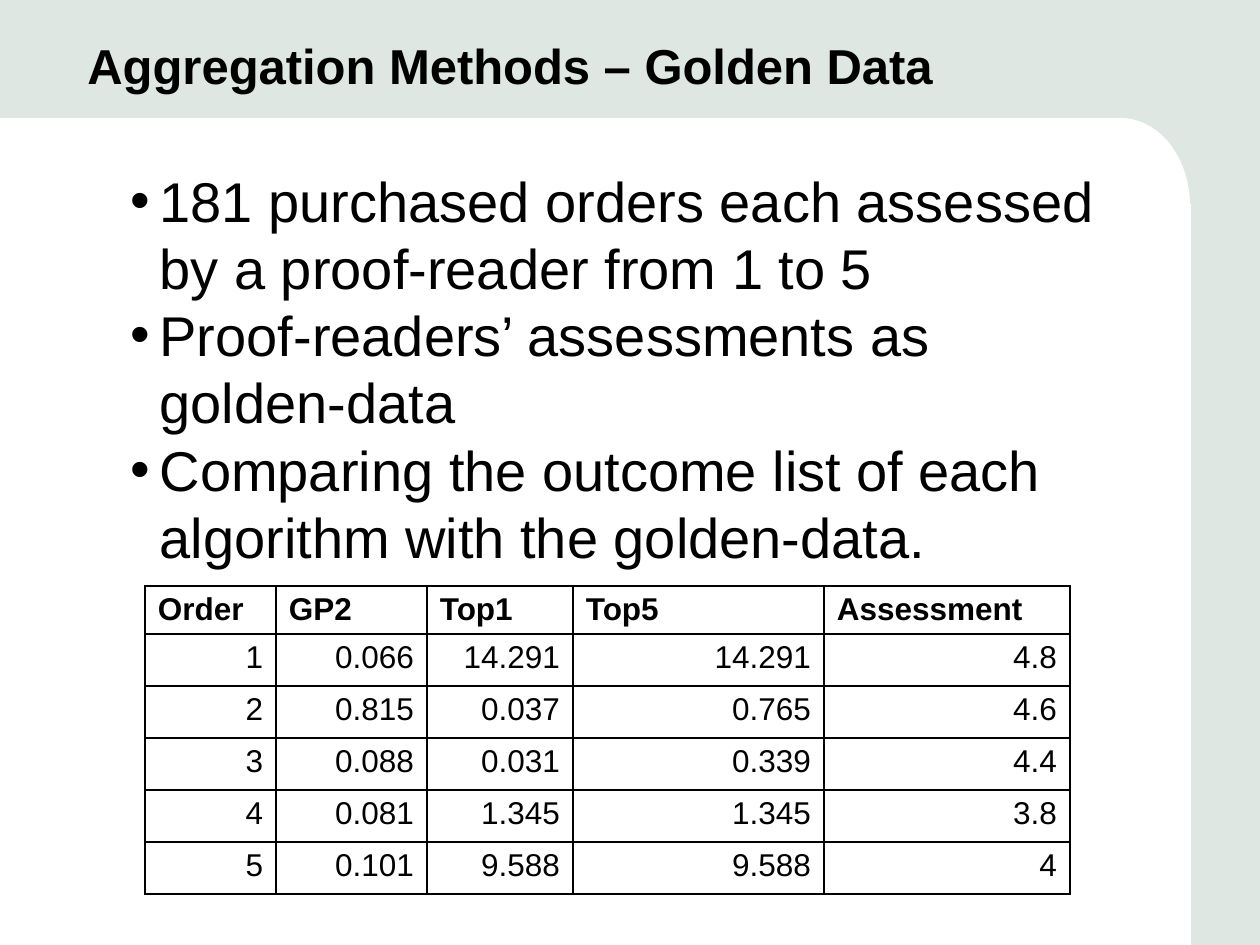
import pptx
import pptx.util
import pptx.dml.color
import pptx.enum.shapes
import pptx.enum.text
import pptx.oxml

SCALE = 914400 / 126
FONT = "Arial"
COLORS = {"back": "DEE7E2", "panel": "FFFFFF", "ink": "000000"}
ALIGN = pptx.enum.text.PP_ALIGN
ANCHOR = pptx.enum.text.MSO_ANCHOR
KIND = pptx.enum.shapes.MSO_SHAPE

TITLE = " Aggregation Methods – Golden Data"
POINTS = [
    "181 purchased orders each assessed by a proof-reader from 1 to 5",
    "Proof-readers’ assessments as golden-data",
    "Comparing the outcome list of each algorithm with the golden-data.",
]
ROWS = [
    ["Order", "GP2", "Top1", "Top5", "Assessment"],
    ["1", "0.066", "14.291", "14.291", "4.8"],
    ["2", "0.815", "0.037", "0.765", "4.6"],
    ["3", "0.088", "0.031", "0.339", "4.4"],
    ["4", "0.081", "1.345", "1.345", "3.8"],
    ["5", "0.101", "9.588", "9.588", "4"],
]
WIDTHS = [131, 151, 146, 251, 246]
HEAD, ROW = 48, 52


def px(n):
    return pptx.util.Emu(round(n * SCALE))


def color(name):
    return pptx.dml.color.RGBColor.from_string(COLORS[name])


def node(xml):
    space = 'xmlns:a="http://schemas.openxmlformats.org/drawingml/2006/main"'
    return pptx.oxml.parse_xml(xml.replace(" ", f" {space} ", 1))


def write(para, text, size, bold=False, align=ALIGN.LEFT, lead=None):
    para.alignment = align
    para.space_before = pptx.util.Pt(0)
    if lead:
        para.line_spacing = pptx.util.Pt(lead)
    run = para.add_run()
    run.text = text
    font = run.font
    font.name, font.size, font.bold = FONT, pptx.util.Pt(size), bold
    font.color.rgb = color("ink")


def place(holder, x, y, w, h, anchor):
    holder.left, holder.top, holder.width, holder.height = map(px, (x, y, w, h))
    frame = holder.text_frame
    frame.word_wrap = True
    frame.auto_size = pptx.enum.text.MSO_AUTO_SIZE.NONE
    frame.vertical_anchor = anchor
    return frame


def panel(slide, kind, x, y, w, h):
    shape = slide.shapes.add_shape(kind, *map(px, (x, y, w, h)))
    shape.shadow.inherit = False
    shape.fill.solid()
    shape.fill.fore_color.rgb = color("panel")
    shape.line.fill.background()
    return shape


def bullet(para, indent):
    props = para._p.get_or_add_pPr()
    props.set("marL", str(px(indent)))
    props.set("indent", str(-px(indent)))
    props.append(node('<a:buFont typeface="Arial"/>'))
    props.append(node('<a:buChar char="•"/>'))


def border(cell, width=1):
    props = cell._tc.get_or_add_tcPr()
    for side in "LRTB":
        props.append(node(
            f'<a:ln{side} w="{pptx.util.Pt(width)}"><a:solidFill>'
            f'<a:srgbClr val="{COLORS["ink"]}"/></a:solidFill></a:ln{side}>'))


def grid(slide, x, y):
    high = HEAD + ROW * (len(ROWS) - 1)
    table = slide.shapes.add_table(
        len(ROWS), len(WIDTHS), px(x), px(y), px(sum(WIDTHS)), px(high)).table
    table.first_row = table.horz_banding = False
    for col, width in zip(table.columns, WIDTHS):
        col.width = px(width)
    for r, row in enumerate(ROWS):
        top = r == 0
        table.rows[r].height = px(HEAD if top else ROW)
        for c, text in enumerate(row):
            cell = table.cell(r, c)
            cell.margin_left = cell.margin_right = px(13)
            cell.margin_top, cell.margin_bottom = px(6), px(5)
            border(cell)
            cell.fill.background()
            write(cell.text_frame.paragraphs[0], text, 18, bold=top,
                  align=ALIGN.LEFT if top else ALIGN.RIGHT)


def main():
    deck = pptx.Presentation()
    deck.slide_width, deck.slide_height = px(1260), px(945)
    slide = deck.slides.add_slide(deck.slide_layouts[1])
    slide.background.fill.solid()
    slide.background.fill.fore_color.rgb = color("back")

    # White panel with a round corner, behind the text
    panels = [
        panel(slide, KIND.RECTANGLE, 0, 118, 1121, 827),
        panel(slide, KIND.OVAL, 1051, 118, 139, 175),
        panel(slide, KIND.RECTANGLE, 674, 204, 517, 741),
    ]
    for i, shape in enumerate(panels):
        slide.shapes._spTree.insert(2 + i, shape._element)

    # Title
    frame = place(slide.shapes.title, 63, 16, 1134, 97, ANCHOR.MIDDLE)
    write(frame.paragraphs[0], TITLE, 28, bold=True)

    # Bullet list
    frame = place(slide.placeholders[1], 118, 160, 1023, 725, ANCHOR.TOP)
    for i, text in enumerate(POINTS):
        para = frame.add_paragraph() if i else frame.paragraphs[0]
        write(para, text, 32, lead=38.4)
        bullet(para, 29)

    # Scores
    grid(slide, 145, 586)
    deck.save("out.pptx")


if __name__ == "__main__":
    main()
